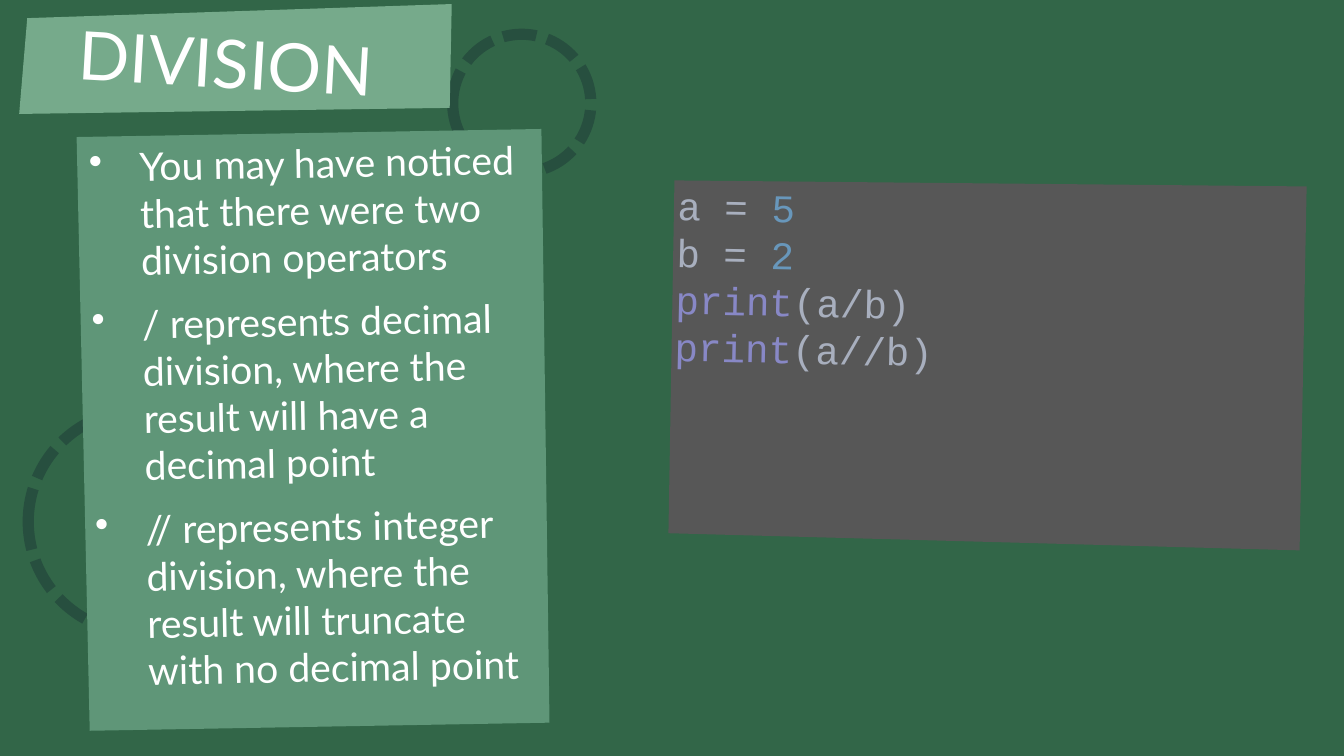
from lxml import etree
from pptx import Presentation, util as u
from pptx.dml.color import RGBColor as Rgb
from pptx.enum import dml, shapes, text
from pptx.oxml.ns import qn

theme = {
    "back": "326648", "ring": "274F3F", "head": "76AA8B", "body": "5F9678",
    "code": "575757", "white": "FFFFFF", "plain": "A8AFBE",
    "num": "6897BB", "call": "8888C6",
    "sans": "Lato", "mono": "Courier New", "big": 48, "mid": 28,
}

deck = Presentation()
deck.slide_width, deck.slide_height = u.Inches(13.33), u.Inches(7.5)
slide = deck.slides.add_slide(deck.slide_layouts[6])
slide.background.fill.solid()
slide.background.fill.fore_color.rgb = Rgb.from_string(theme["back"])


def label(box, turn):
    """Add a wrapping text box turned by some degrees; return its frame."""
    area = slide.shapes.add_textbox(*map(u.Inches, box))
    area.rotation = turn
    area.text_frame.word_wrap = True
    return area.text_frame


def style(item, face, size, tint):
    """Set face, size and colour of a run."""
    for key, value in {"name": face, "size": u.Pt(size)}.items():
        setattr(item.font, key, value)
    item.font.color.rgb = Rgb.from_string(theme[tint])


# Dashed rings
for left, top, size in [(0.28, 4.07, 2.21), (4.49, 0.34, 1.37)]:
    ring = slide.shapes.add_shape(
        shapes.MSO_SHAPE.OVAL, *map(u.Inches, (left, top, size, size)))
    ring.shadow.inherit = False
    ring.fill.background()
    ring.line.color.rgb = Rgb.from_string(theme["ring"])
    ring.line.width = u.Pt(8)
    ring.line.dash_style = dml.MSO_LINE.SQUARE_DOT

# Tilted panels, corners in hundredths of an inch
panels = {
    "body": [(76, 136), (537, 128), (545, 717), (89, 725)],
    "head": [(27, 18), (448, 4), (446, 107), (19, 113)],
    "code": [(669, 179), (1296, 185), (1289, 546), (663, 529)],
}
for name, spots in panels.items():
    pen = slide.shapes.build_freeform(*spots[0], scale=u.Inches(0.01))
    pen.add_line_segments(spots[1:], close=True)
    panel = pen.convert_to_shape()
    panel.shadow.inherit = False
    panel.fill.solid()
    panel.fill.fore_color.rgb = Rgb.from_string(theme[name])
    panel.line.fill.background()

# Title
frame = label((0, 0.1, 4.49, 1.02), 3.4)
frame.vertical_anchor = text.MSO_ANCHOR.MIDDLE
para = frame.paragraphs[0]
para.alignment = text.PP_ALIGN.CENTER
run = para.add_run()
run.text = "DIVISION"
style(run, theme["sans"], theme["big"], "white")

# Bullets
points = [
    "You may have noticed that there were two division operators",
    "/ represents decimal division, where the result will have a decimal point",
    "// represents integer division, where the result will truncate "
    "with no decimal point",
]
frame = label((0.83, 1.33, 4.58, 5.9), -1)
for row, point in enumerate(points):
    para = frame.add_paragraph() if row else frame.paragraphs[0]
    props = para._p.get_or_add_pPr()
    props.set("marL", str(u.Inches(0.5)))
    props.set("indent", str(u.Inches(-0.5)))
    etree.SubElement(props, qn("a:buChar")).set("char", "•")
    para.font.size = u.Pt(theme["mid"])
    if row:
        para.space_before = u.Pt(12)
    run = para.add_run()
    run.text = point
    style(run, theme["sans"], theme["mid"], "white")

# Code
lines = [
    [("a = ", "plain"), ("5", "num")],
    [("b = ", "plain"), ("2", "num")],
    [("print", "call"), ("(a/b)", "plain")],
    [("print", "call"), ("(a//b)", "plain")],
]
frame = label((6.59, 1.81, 6.28, 3.56), 1.2)
para = frame.paragraphs[0]
para.font.size = u.Pt(theme["mid"])
for row, line in enumerate(lines):
    if row:
        para.add_line_break()
    for word, tint in line:
        run = para.add_run()
        run.text = word
        style(run, theme["mono"], theme["mid"], tint)

deck.save("out.pptx")
